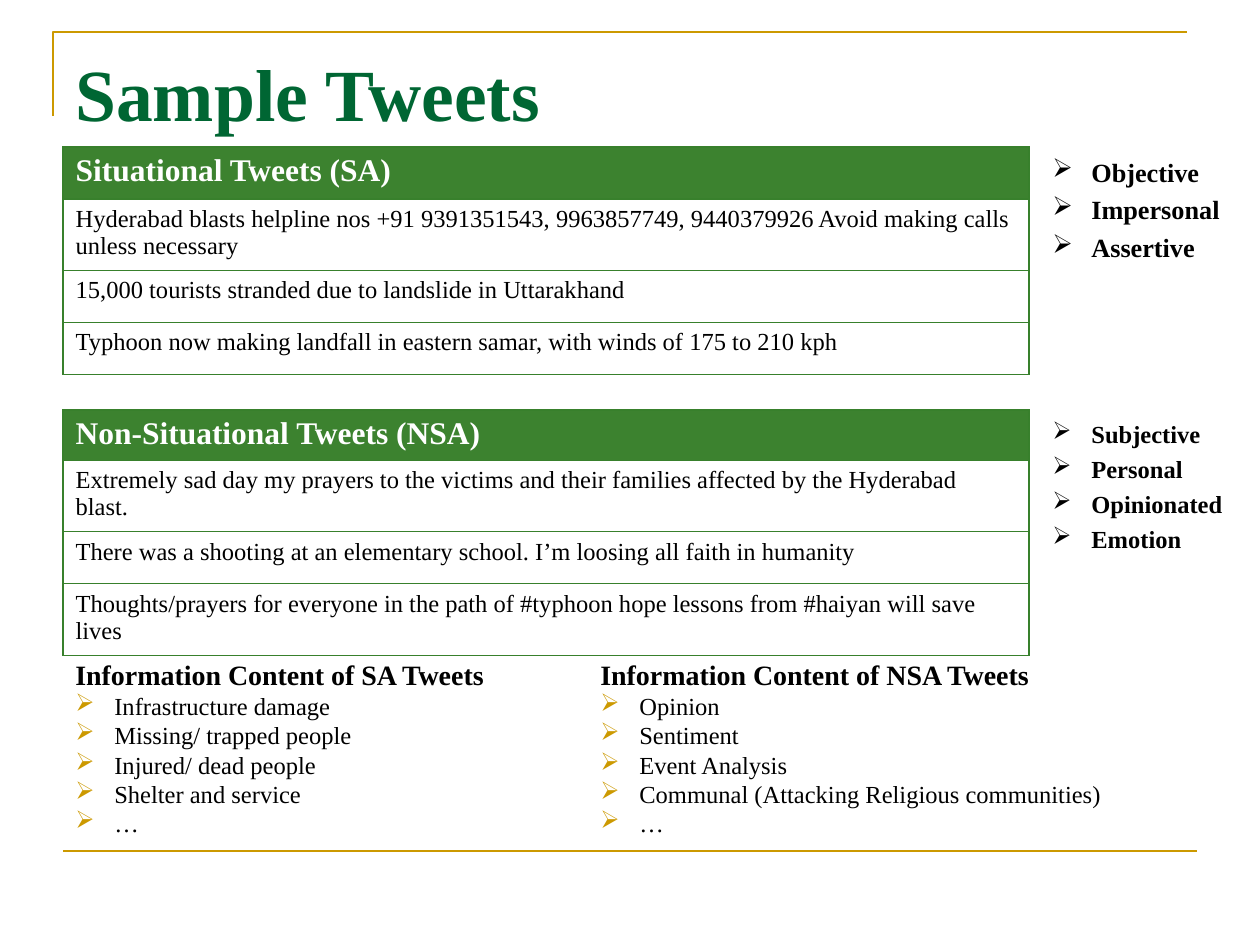
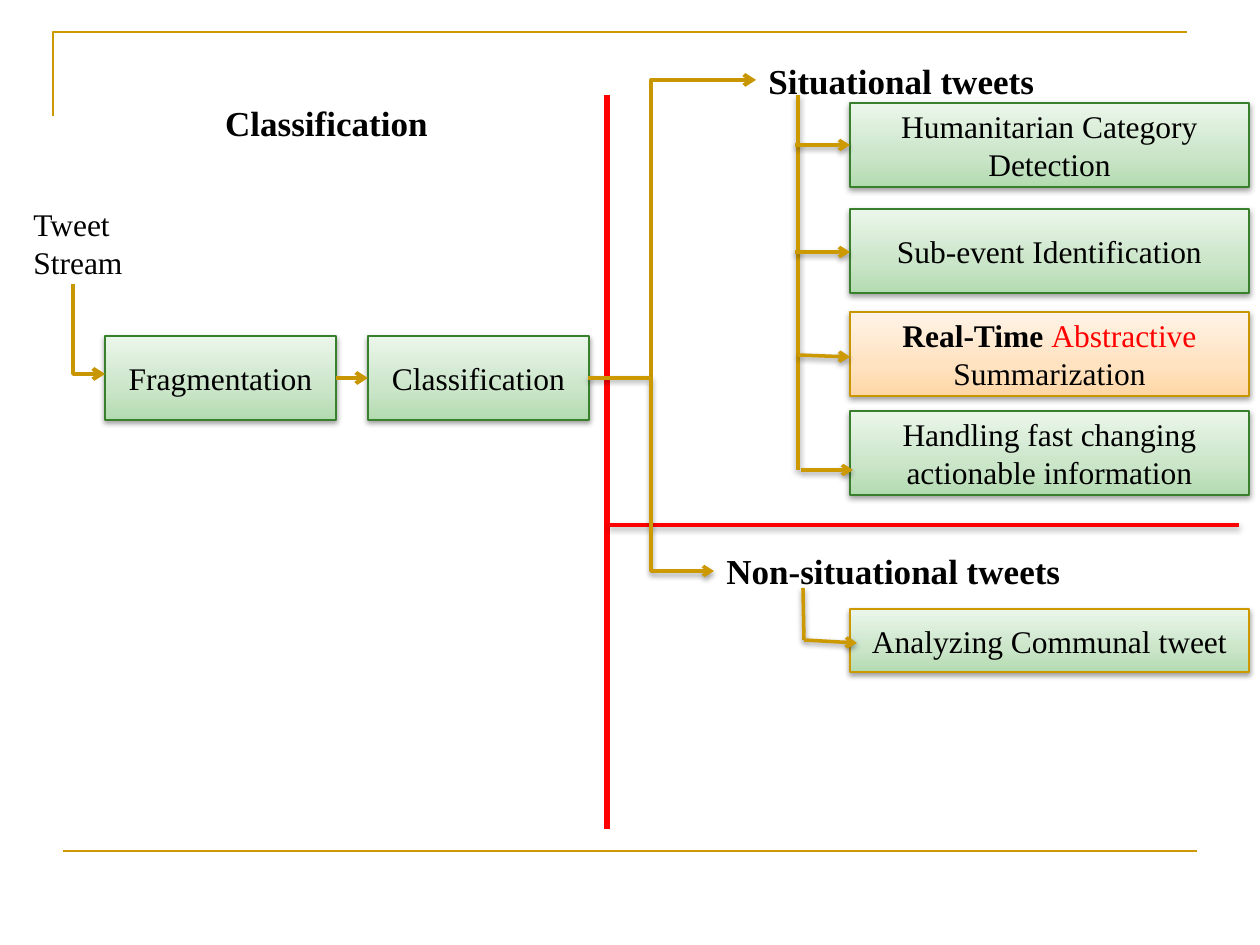
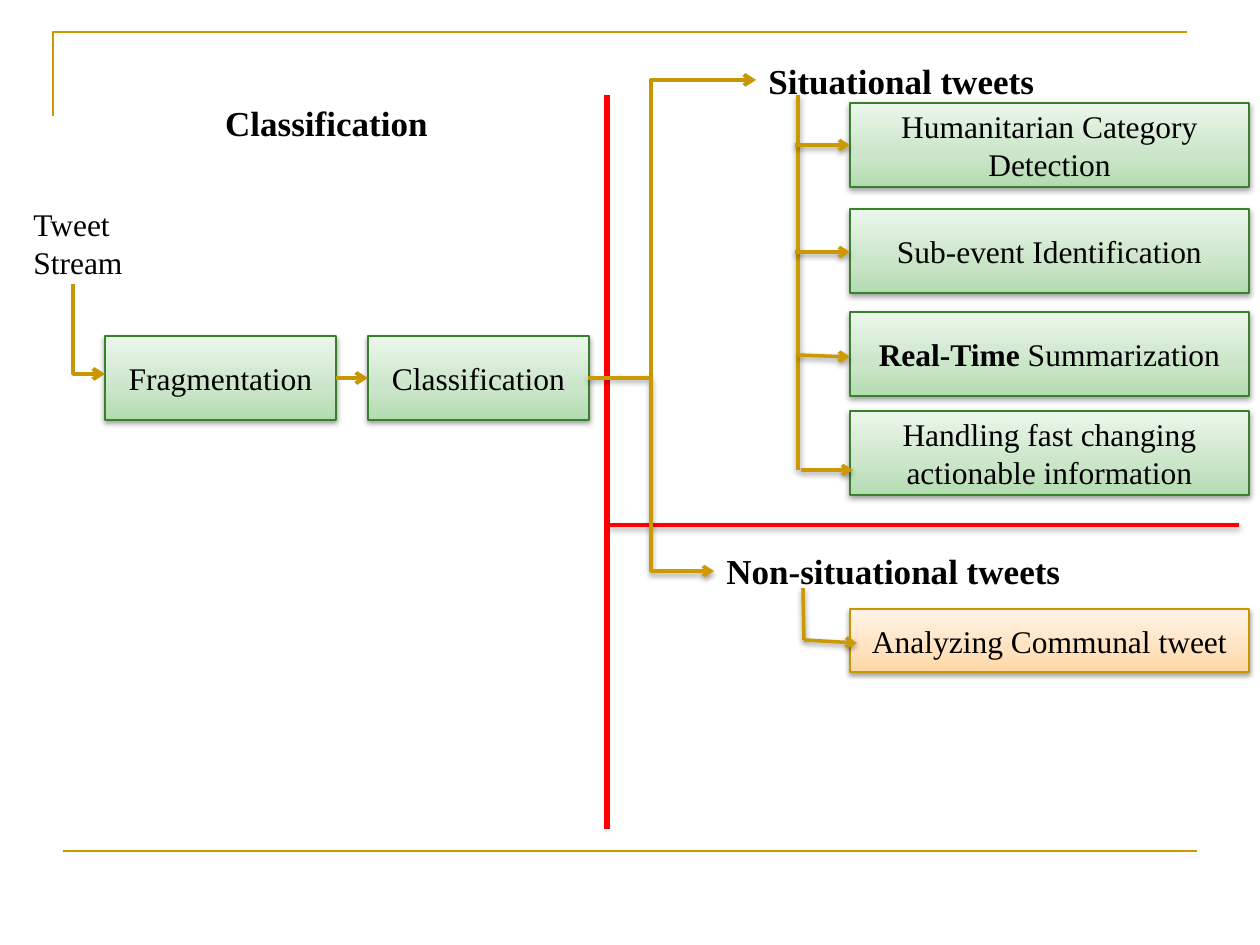
from copy import deepcopy

from lxml.etree import SubElement
from pptx import Presentation
from pptx.dml.color import RGBColor
from pptx.enum.shapes import MSO_CONNECTOR, MSO_SHAPE
from pptx.enum.text import MSO_ANCHOR, PP_ALIGN
from pptx.oxml.ns import qn
from pptx.util import Emu, Pt

STRAIGHT, ELBOW = MSO_CONNECTOR.STRAIGHT, MSO_CONNECTOR.ELBOW
RECT = MSO_SHAPE.RECTANGLE
TOP, MIDDLE, BOTTOM = MSO_ANCHOR.TOP, MSO_ANCHOR.MIDDLE, MSO_ANCHOR.BOTTOM
LEFT, CENTER, JUSTIFY = PP_ALIGN.LEFT, PP_ALIGN.CENTER, PP_ALIGN.JUSTIFY

SCALE = 914400 / 126
FONT = "Times New Roman"
BLACK = RGBColor(0x00, 0x00, 0x00)
WHITE = RGBColor(0xFF, 0xFF, 0xFF)
RED = RGBColor(0xFF, 0x00, 0x00)
GOLD = RGBColor(0xCC, 0x99, 0x00)
DARK_GOLD = RGBColor(0xC8, 0x96, 0x00)
GREEN = RGBColor(0x38, 0x80, 0x2C)
HEADER_GREEN = RGBColor(0x3C, 0x82, 0x2F)
TITLE_GREEN = RGBColor(0x00, 0x66, 0x33)
GREEN_STOPS = (RGBColor(0xB3, 0xDB, 0xB0), RGBColor(0xCA, 0xE5, 0xC8), RGBColor(0xEB, 0xF6, 0xEA))
ORANGE_STOPS = (RGBColor(0xFF, 0xD6, 0xA5), RGBColor(0xFF, 0xE2, 0xBF), RGBColor(0xFF, 0xF3, 0xE7))
PLAIN = (GREEN_STOPS, GREEN)
GOLD_EDGED = (GREEN_STOPS, GOLD)
HIGHLIGHT = (ORANGE_STOPS, DARK_GOLD)


def px(n):
    return Emu(round(n * SCALE))


def add_run(p, text, size, bold=False, color=BLACK):
    r = p.add_run()
    r.text = text
    r.font.name = FONT
    r.font.size = Pt(size)
    r.font.bold = bold
    r.font.color.rgb = color


def add_bullet(p, color=None):
    pPr = p._p.get_or_add_pPr()
    pPr.set("marL", str(px(39)))
    pPr.set("indent", str(-px(39)))
    if color is not None:
        SubElement(SubElement(pPr, qn("a:buClr")), qn("a:srgbClr")).set("val", str(color))
    SubElement(pPr, qn("a:buChar")).set("char", "➢")


def set_effects(s, shadow):
    effects = SubElement(s._element.spPr, qn("a:effectLst"))
    if shadow:
        outer = SubElement(effects, qn("a:outerShdw"), blurRad="40000", dist="20000",
                           dir="5400000", rotWithShape="0")
        black = SubElement(outer, qn("a:srgbClr"), val=str(BLACK))
        SubElement(black, qn("a:alpha"), val="38000")


def add_text(slide, x, y, w, h, lines, size, bold=False, color=BLACK, align=LEFT, anchor=TOP):
    tf = slide.shapes.add_textbox(px(x), px(y), px(w), px(h)).text_frame
    tf.word_wrap = True
    tf.vertical_anchor = anchor
    for i, line in enumerate(lines):
        p = tf.paragraphs[0] if i == 0 else tf.add_paragraph()
        p.alignment = align
        add_run(p, line, size, bold, color)
    return tf


def white_box(slide, x, y, w, h):
    s = slide.shapes.add_shape(RECT, px(x), px(y), px(w), px(h))
    s.fill.solid()
    s.fill.fore_color.rgb = WHITE
    s.line.color.rgb = WHITE
    s.line.width = Pt(2)
    s.shadow.inherit = False
    tf = s.text_frame
    tf.word_wrap = True
    tf.vertical_anchor = TOP
    return tf


def step_box(slide, x, y, w, h, runs, style=PLAIN):
    stops, edge = style
    s = slide.shapes.add_shape(RECT, px(x), px(y), px(w), px(h))
    s.fill.gradient()
    s.fill.gradient_angle = 90
    gs_list = s._element.spPr.find(".//" + qn("a:gsLst"))
    gs_list.append(deepcopy(gs_list[0]))
    for stop, color, position in zip(s.fill.gradient_stops, stops, (0, 0.35, 1)):
        stop.color.rgb = color
        stop.position = position
    s.line.color.rgb = edge
    s.line.width = Pt(0.75)
    set_effects(s, True)
    tf = s.text_frame
    tf.word_wrap = True
    tf.vertical_anchor = MIDDLE
    p = tf.paragraphs[0]
    p.alignment = CENTER
    for text, bold, color in runs:
        add_run(p, text, 18, bold, color)


def add_line(slide, x1, y1, x2, y2, color=GOLD, width=2, arrow=True, shadow=True, kind=STRAIGHT):
    c = slide.shapes.add_connector(kind, px(x1), px(y1), px(x2), px(y2))
    c.line.color.rgb = color
    c.line.width = Pt(width)
    if arrow:
        SubElement(c.line._get_or_add_ln(), qn("a:tailEnd"), type="arrow")
    set_effects(c, shadow)
    return c


def add_corner(slide, x1, y1, x2, y2):
    direction = 1 if y2 > y1 else -1
    cx, cy = (x1 + x2) / 2, (y1 + y2) / 2
    half_w, half_h = abs(y2 - y1) / 2, direction * (x2 - x1) / 2
    c = add_line(slide, cx + half_w, cy - half_h, cx - half_w, cy + half_h,
                 DARK_GOLD, 2.25, shadow=False, kind=ELBOW)
    spPr = c._element.spPr
    spPr.find(qn("a:xfrm")).set("rot", "16200000" if direction > 0 else "5400000")
    spPr.find(qn("a:prstGeom")).set("prst", "bentConnector2")


def new_slide(prs):
    slide = prs.slides.add_slide(prs.slide_layouts[6])
    builder = slide.shapes.build_freeform(53, 116, SCALE)
    builder.add_line_segments([(53, 32), (1187, 32)], close=False)
    frame = builder.convert_to_shape()
    frame.fill.background()
    frame.line.color.rgb = GOLD
    frame.line.width = Pt(1.5)
    frame.shadow.inherit = False
    add_line(slide, 63, 851, 1197, 851, width=1.5, arrow=False, shadow=False)
    return slide


def tweet_table(slide, x, y, w, header_h, header, tweets):
    row_h = 52
    frame = slide.shapes.add_table(len(tweets) + 1, 1, px(x), px(y), px(w),
                                   px(header_h + row_h * len(tweets)))
    table = frame.table
    table.first_row = table.horz_banding = False
    for i, text in enumerate([header, *tweets]):
        is_header = i == 0
        table.rows[i].height = px(header_h if is_header else row_h)
        cell = table.cell(i, 0)
        tcPr = cell._tc.get_or_add_tcPr()
        for side in ("lnL", "lnR", "lnT", "lnB"):
            ln = SubElement(tcPr, qn("a:" + side), w=str(Pt(0.75)))
            SubElement(SubElement(ln, qn("a:solidFill")), qn("a:srgbClr"), val=str(GREEN))
        p = cell.text_frame.paragraphs[0]
        if is_header:
            cell.fill.solid()
            cell.fill.fore_color.rgb = HEADER_GREEN
            add_run(p, text, 18, True, WHITE)
        else:
            cell.fill.background()
            add_run(p, text, 14)


def trait_list(slide, x, y, w, h, traits, size):
    tf = white_box(slide, x, y, w, h)
    tf.margin_top = px(9)
    for i, trait in enumerate(traits):
        p = tf.paragraphs[0] if i == 0 else tf.add_paragraph()
        p.alignment = JUSTIFY
        if i:
            p.space_before = Pt(round(size * 0.23, 1))
        add_bullet(p)
        add_run(p, trait, size, True)


def content_list(slide, x, y, w, h, heading, items):
    tf = add_text(slide, x, y, w, h, [heading], 16, True)
    for item in items:
        p = tf.add_paragraph()
        add_bullet(p, GOLD)
        add_run(p, item, 14)


def sample_tweets_slide(prs):
    slide = new_slide(prs)
    title = add_text(slide, 63, 38, 1134, 98, ["Sample Tweets"], 42, True, TITLE_GREEN, anchor=BOTTOM)
    title.margin_bottom = 0
    tweet_table(slide, 63, 147, 966, 52, "Situational Tweets (SA)", [
        "Hyderabad blasts helpline nos +91 9391351543, 9963857749, 9440379926 "
        "Avoid making calls unless necessary",
        "15,000 tourists stranded due to landslide in Uttarakhand",
        "Typhoon now making landfall in eastern samar, with winds of 175 to 210 kph",
    ])
    tweet_table(slide, 63, 410, 966, 47, "Non-Situational Tweets (NSA)", [
        "Extremely sad day my prayers to the victims and their families affected by the Hyderabad blast.",
        "There was a shooting at an elementary school. I’m loosing all faith in humanity",
        "Thoughts/prayers for everyone in the path of #typhoon hope lessons from #haiyan will save lives",
    ])
    trait_list(slide, 1040, 147, 210, 242, ["Objective", "Impersonal", "Assertive"], 15)
    trait_list(slide, 1040, 410, 210, 220, ["Subjective", "Personal", "Opinionated", "Emotion"], 14)
    content_list(slide, 63, 651, 440, 195, "Information Content of SA Tweets", [
        "Infrastructure damage", "Missing/ trapped people", "Injured/ dead people",
        "Shelter and service", "…"])
    content_list(slide, 588, 651, 530, 195, "Information Content of NSA Tweets", [
        "Opinion", "Sentiment", "Event Analysis",
        "Communal (Attacking Religious communities)", "…"])


def classification_panel(slide, x, y):
    add_text(slide, x + 191, y, 229, 55, ["Classification"], 20, True, align=CENTER)
    add_text(slide, x, y + 104, 116, 90, ["Tweet", "Stream"], 18)
    for left, width, label in ((84, 231, "Fragmentation"), (347, 221, "Classification")):
        step_box(slide, x + left, y + 241, width, 84, [(label, False, BLACK)])
    add_corner(slide, x + 52, y + 189, x + 84, y + 279)
    add_line(slide, x + 315, y + 283, x + 347, y + 283, DARK_GOLD, 2.25, shadow=False)


def dividers_and_branches(slide, x, y):
    add_line(slide, x, y, x, y + 734, RED, 3, arrow=False, shadow=False)
    add_line(slide, x + 2, y + 430, x + 632, y + 430, RED, arrow=False)
    add_corner(slide, x + 44, y + 287, x + 149, y - 15)
    add_line(slide, x - 19, y + 283, x + 107, y + 476, kind=ELBOW)


def situational_panel(slide, x, y, summary_runs, summary_style):
    add_text(slide, x, y, 294, 55, ["Situational tweets"], 20, True)
    steps = [
        (50, [("Humanitarian Category Detection", False, BLACK)], PLAIN),
        (156, [("Sub-event Identification", False, BLACK)], PLAIN),
        (259, summary_runs, summary_style),
        (358, [("Handling fast changing actionable information", False, BLACK)], PLAIN),
    ]
    for top, runs, style in steps:
        step_box(slide, x + 94, y + top, 399, 84, runs, style)
    add_line(slide, x + 42, y + 42, x + 42, y + 417, arrow=False)
    for x1, y1, x2, y2 in ((39, 92, 94, 92), (39, 199, 94, 199), (42, 302, 94, 304), (45, 417, 97, 417)):
        add_line(slide, x + x1, y + y1, x + x2, y + y2)


def non_situational_panel(slide, x, y, style):
    tf = white_box(slide, x, y, 441, 55)
    tf.paragraphs[0].alignment = LEFT
    add_run(tf.paragraphs[0], "Non-situational tweets", 20, True)
    step_box(slide, x + 136, y + 66, 399, 63, [("Analyzing Communal tweet", False, BLACK)], style)
    add_line(slide, x + 89, y + 45, x + 90, y + 97, arrow=False)
    add_line(slide, x + 90, y + 97, x + 143, y + 100)


def workflow_slide(prs, summary_runs, summary_style, communal_style):
    slide = new_slide(prs)
    classification_panel(slide, 21, 95)
    non_situational_panel(slide, 714, 543, communal_style)
    dividers_and_branches(slide, 607, 95)
    situational_panel(slide, 756, 53, summary_runs, summary_style)


def main():
    prs = Presentation()
    prs.slide_width, prs.slide_height = px(1260), px(945)
    sample_tweets_slide(prs)
    workflow_slide(prs, [("Real-Time ", True, BLACK), ("Abstractive", False, RED),
                         (" Summarization", False, BLACK)], HIGHLIGHT, GOLD_EDGED)
    workflow_slide(prs, [("Real-Time", True, BLACK), (" Summarization", False, BLACK)],
                   PLAIN, HIGHLIGHT)
    prs.save("out.pptx")


if __name__ == "__main__":
    main()
